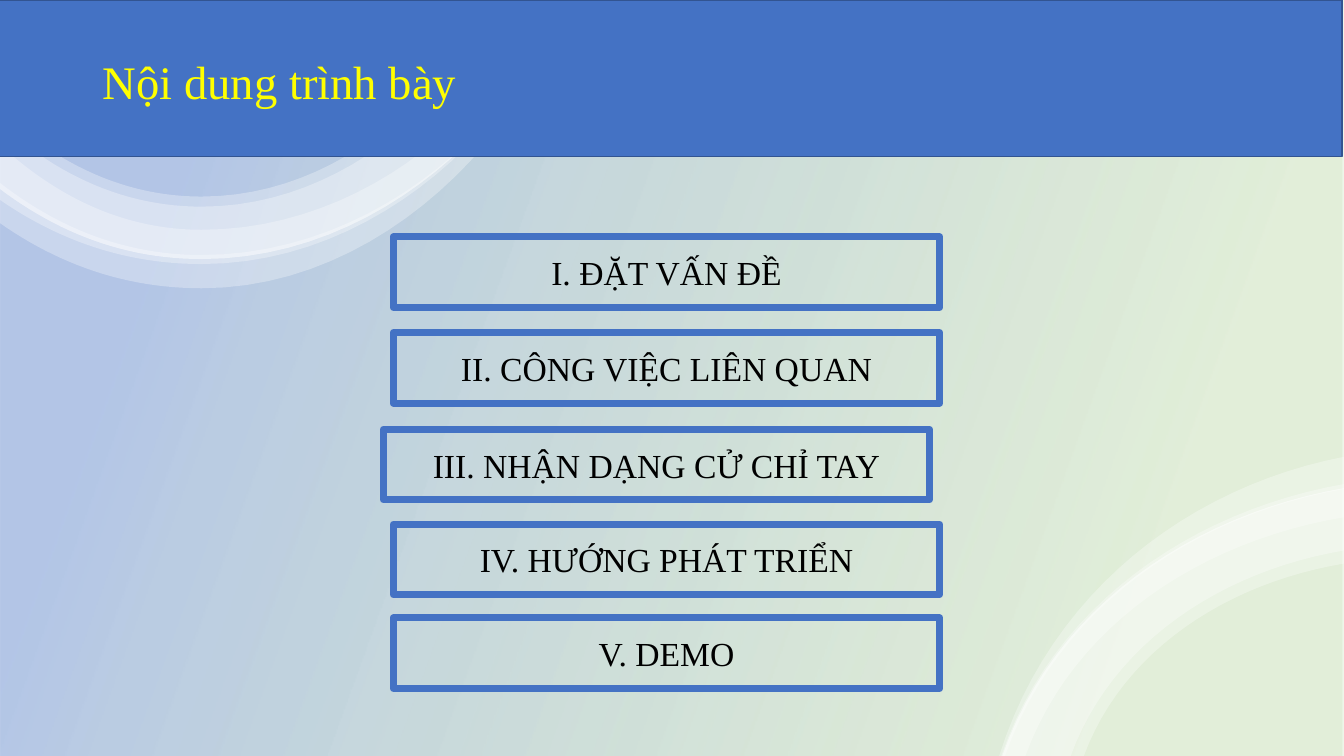
from lxml.etree import SubElement
from pptx import Presentation
from pptx.dml.color import RGBColor
from pptx.enum.shapes import MSO_SHAPE
from pptx.enum.text import MSO_ANCHOR, MSO_AUTO_SIZE, PP_ALIGN
from pptx.oxml.ns import qn
from pptx.util import Inches, Pt

WHITE = RGBColor(0xFF, 0xFF, 0xFF)
BLACK = RGBColor(0x00, 0x00, 0x00)
BLUE = RGBColor(0x44, 0x72, 0xC4)
DARK_BLUE = RGBColor(0x32, 0x54, 0x91)
GREEN = RGBColor(0x70, 0xAD, 0x47)
YELLOW = RGBColor(0xFF, 0xFF, 0x00)
FONT = "Times New Roman"
WIDTH, HEIGHT = 13.33, 7.5

# Edge of a bowl: height at the left, lowest height, right end
BOWL_EDGE = (1.86, 2.57, 5.57)
BOWLS = [
    ((1.8, 2.53, 5.59), (2.2, 2.86, 5.63)),
    ((1.42, 2.28, 5.36), (1.97, 2.62, 5.57)),
    ((1.21, 2.05, 4.92), BOWL_EDGE),
    ((1.08, 1.95, 4.79), BOWL_EDGE),
]
# Edge of an arch: foot at the bottom, height at the right
ARCH_EDGE = (9.94, 4.84)
ARCHES = [
    ((9.91, 4.53), (9.97, 4.85)),
    (ARCH_EDGE, (10.75, 5.59)),
    ((9.93, 4.8), (10.17, 5.13)),
    (ARCH_EDGE, (10.62, 5.46)),
]

# Left, top and wording of each agenda box
AGENDA = [
    (3.9, 2.35, "I. ĐẶT VẤN ĐỀ"),
    (3.9, 3.3, "II. CÔNG VIỆC LIÊN QUAN"),
    (3.8, 4.26, "III. NHẬN DẠNG CỬ CHỈ TAY"),
    (3.9, 5.2, "IV. HƯỚNG PHÁT TRIỂN"),
    (3.9, 6.13, "V. DEMO"),
]


def bezier(start, end, first, second, steps=24):
    """Cubic curve; both handles are fractions of the way from start to end."""
    def along(axis, t):
        u = 1 - t
        share = 3 * u * u * t * first[axis] + 3 * u * t * t * second[axis] + t ** 3
        return start[axis] + share * (end[axis] - start[axis])
    return [(along(0, i / steps), along(1, i / steps)) for i in range(steps + 1)]


def bowl(left, low, right):
    bottom = (2, low)
    return (bezier((-0.02, left), bottom, (0.3, 0.65), (0.63, 1))
            + bezier(bottom, (right, -0.05), (0.5, 0), (0.9, 0.55)))


def arch(foot, height):
    return bezier((foot, HEIGHT), (13.34, height), (0.15, 0.55), (0.55, 0.9))


def set_opacity(color, percent):
    SubElement(color, qn("a:alpha")).set("val", str(percent * 1000))


def write(sp, text, size=24, color=BLACK, anchor=MSO_ANCHOR.MIDDLE,
          line_spacing=None, space_before=None):
    tf = sp.text_frame
    tf.word_wrap = True
    tf.auto_size = MSO_AUTO_SIZE.NONE
    tf.vertical_anchor = anchor
    p = tf.paragraphs[0]
    p.alignment = PP_ALIGN.CENTER
    p.line_spacing = line_spacing
    p.space_before = space_before
    r = p.add_run()
    r.text = text
    r.font.name, r.font.size = FONT, Pt(size)
    r.font.color.rgb = color


class Deck:
    def __init__(self):
        self.prs = Presentation()
        self.prs.slide_width, self.prs.slide_height = Inches(WIDTH), Inches(HEIGHT)
        self.s = self.prs.slides.add_slide(self.prs.slide_layouts[5])

    def style(self, sp, fill=None, line=None, weight=1):
        sp.shadow.inherit = False
        if fill is None:
            sp.fill.background()
        else:
            sp.fill.solid()
            sp.fill.fore_color.rgb = fill
        if line is None:
            sp.line.fill.background()
        else:
            sp.line.color.rgb = line
            sp.line.width = Pt(weight)
        return sp

    def box(self, x, y, w, h, kind=MSO_SHAPE.RECTANGLE, **look):
        sp = self.s.shapes.add_shape(kind, Inches(x), Inches(y), Inches(w), Inches(h))
        return self.style(sp, **look)

    def gradient(self):
        sp = self.box(0, 0, WIDTH, HEIGHT)
        sp.fill.gradient()
        sp.fill.gradient_angle = 160
        looks = ((GREEN, 0.16), (BLUE, 0.85))
        for stop, (color, position) in zip(sp.fill.gradient_stops, looks):
            stop.color.rgb = color
            stop.position = position
        for color, opacity in zip(sp._element.spPr.iter(qn("a:srgbClr")), (20, 40)):
            set_opacity(color, opacity)

    def ribbon(self, first, second):
        points = [(Inches(x), Inches(y)) for x, y in first + second[::-1]]
        builder = self.s.shapes.build_freeform(*points[0])
        builder.add_line_segments(points[1:], close=True)
        sp = self.style(builder.convert_to_shape(), fill=WHITE)
        set_opacity(next(sp._element.spPr.iter(qn("a:srgbClr"))), 30)

    def title(self, text, x, y, w, h, **look):
        sp = self.s.shapes.title
        sp.left, sp.top, sp.width, sp.height = map(Inches, (x, y, w, h))
        write(sp, text, **look)
        self.s.shapes._spTree.append(sp._element)  # bring in front of the band

    def agenda_box(self, x, y, text):
        sp = self.box(x, y, 5.42, 0.7, MSO_SHAPE.ROUNDED_RECTANGLE, line=BLUE, weight=5)
        sp.adjustments[0] = 0
        SubElement(sp._element.spPr.find(qn("a:ln")), qn("a:round"))
        write(sp, text)


def main():
    deck = Deck()
    # Background
    deck.box(0, 0, WIDTH, HEIGHT, fill=WHITE)
    deck.gradient()
    for inner, outer in BOWLS:
        deck.ribbon(bowl(*inner), bowl(*outer))
    # Title band
    deck.box(-0.02, 0, WIDTH, 1.55, fill=BLUE, line=DARK_BLUE)
    for outer, inner in ARCHES:
        deck.ribbon(arch(*outer), arch(*inner))
    deck.title("Nội dung trình bày", 0.79, 0.54, 3.97, 0.75, size=33.3, color=YELLOW,
               anchor=MSO_ANCHOR.TOP, line_spacing=0.9, space_before=Pt(10))
    # Agenda
    for x, y, text in AGENDA:
        deck.agenda_box(x, y, text)
    deck.prs.save("out.pptx")


if __name__ == "__main__":
    main()
